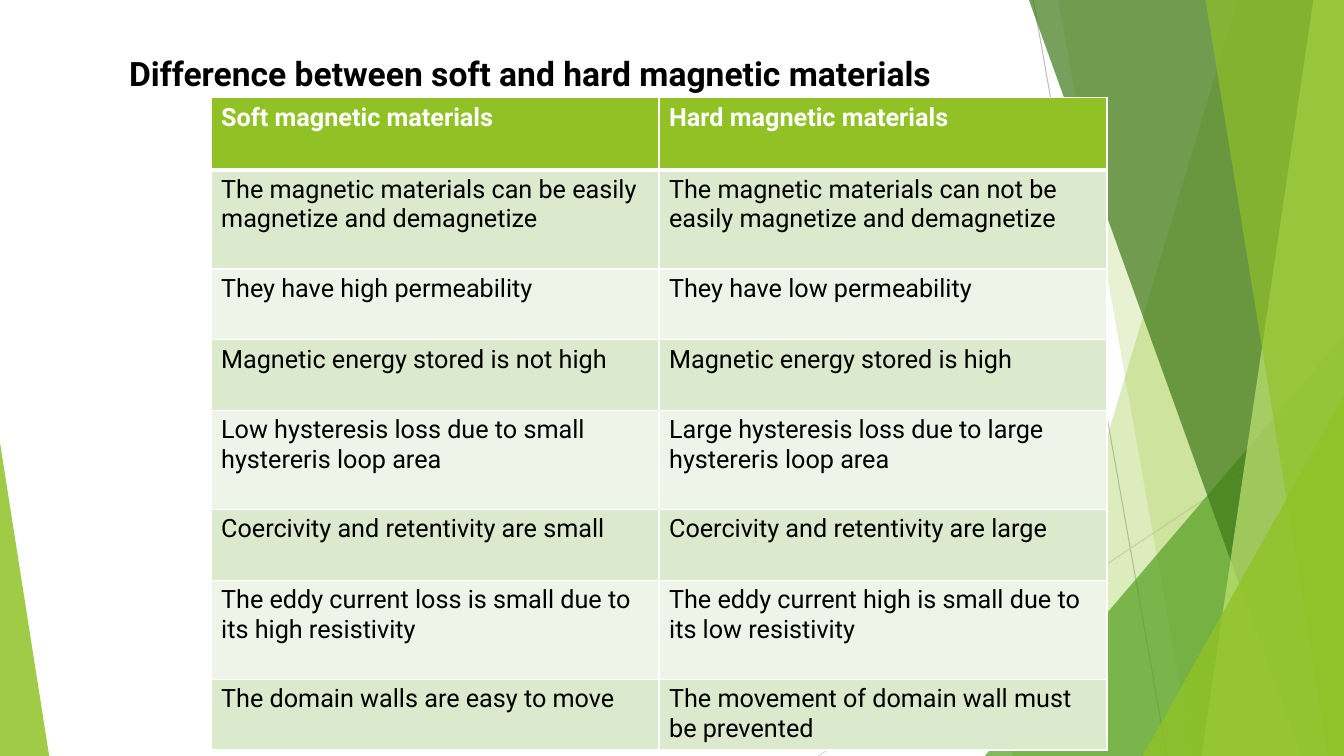
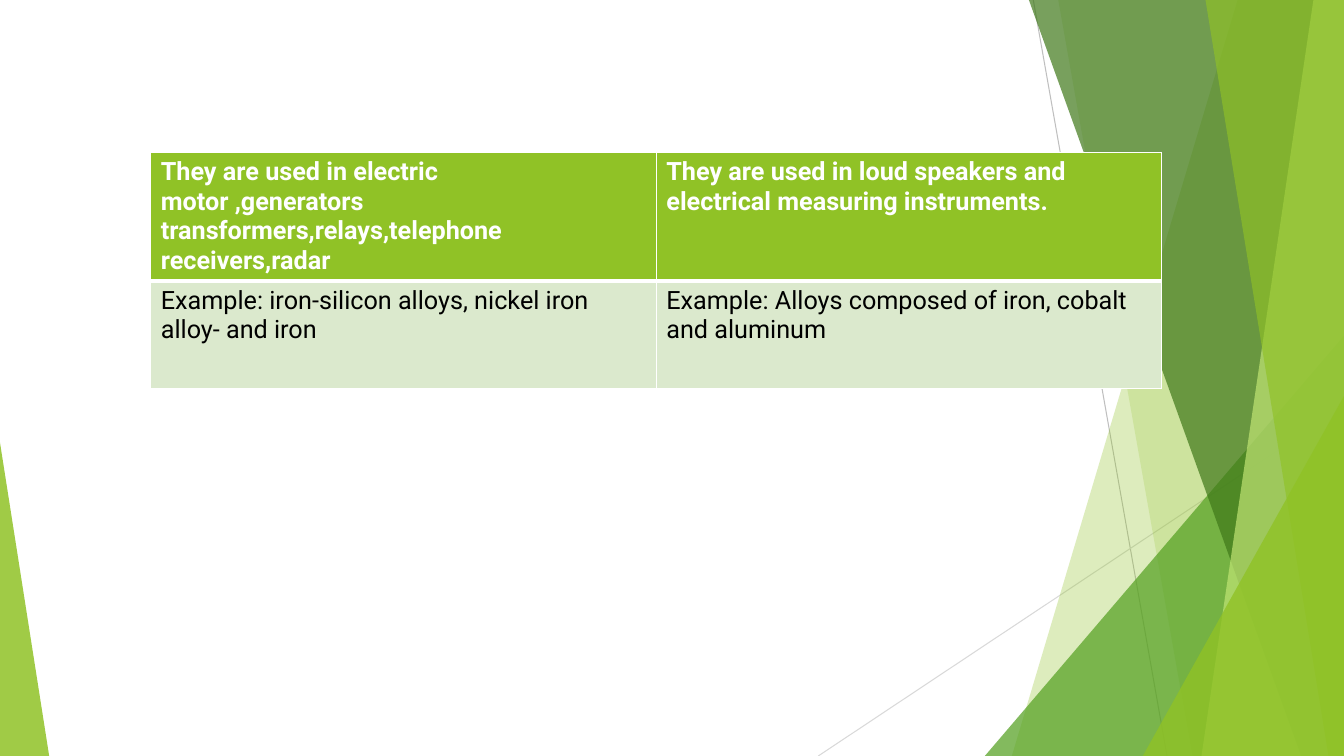
from lxml import etree
from pptx import Presentation
from pptx.dml.color import RGBColor
from pptx.enum.shapes import MSO_CONNECTOR, MSO_SHAPE
from pptx.enum.text import MSO_ANCHOR, MSO_AUTO_SIZE, PP_ALIGN
from pptx.oxml.ns import qn
from pptx.util import Cm, Pt

WHITE = RGBColor(0xFF, 0xFF, 0xFF)
BLACK = RGBColor(0x00, 0x00, 0x00)
LIME = RGBColor(0x90, 0xC2, 0x26)
PALE_LIME = RGBColor(0xC0, 0xE4, 0x74)
GREEN = RGBColor(0x54, 0xA0, 0x21)
DARK_GREEN = RGBColor(0x3F, 0x78, 0x19)
BAND_DARK = RGBColor(0xDB, 0xE9, 0xCD)
BAND_LIGHT = RGBColor(0xEE, 0xF4, 0xE8)
GREY = RGBColor(0xBF, 0xBF, 0xBF)
LIGHT_GREY = RGBColor(0xD9, 0xD9, 0xD9)

WIDTH, HEIGHT = 33.87, 19.05
TITLE_ONLY, BLANK = 5, 6
TITLE_FONT = {"name": "Roboto", "size": Pt(24), "bold": True}
HEADER_FONT = {"name": "Roboto", "size": Pt(18), "bold": True}
BODY_FONT = {**HEADER_FONT, "bold": False}

LINES = [
    (26.04, 0, 29.41, HEIGHT, GREY),
    (WIDTH, 10.24, 20.62, HEIGHT, LIGHT_GREY),
]
FACETS = [
    ("band", 31.19, 25.5, LIME, 30),
    ("band", 26.67, 30.05, LIME, 20),
    ("triangle", (24.82, 8.46, WIDTH), 1, GREEN, 72),
    ("band", 25.93, 32.79, DARK_GREEN, 70),
    ("band", 33.1, 30.28, PALE_LIME, 70),
    ("band", 30.38, 33.48, LIME, 65),
    ("triangle", (28.8, 9.98, WIDTH), 1, LIME, 80),
    ("triangle", (0, 11.15, 1.24), 0, LIME, 85),
]

COMPARISON = [
    (1.82, "Soft magnetic materials", "Hard magnetic materials"),
    (2.5, "The magnetic materials can be easily magnetize and demagnetize",
     "The magnetic materials can not be easily magnetize and demagnetize"),
    (1.78, "They have high permeability", "They have low permeability"),
    (1.78, "Magnetic energy stored is not high", "Magnetic energy stored is high"),
    (2.5, "Low hysteresis loss due to small hystereris loop area",
     "Large hysteresis loss due to large hystereris loop area"),
    (1.78, "Coercivity and retentivity are small", "Coercivity and retentivity are large"),
    (2.5, "The eddy current loss is small due to its high resistivity",
     "The eddy current high is small due to its low resistivity"),
    (1.78, "The domain walls are easy to move",
     "The movement of domain wall must be prevented"),
]
USES = [
    (3.23, "They are used in electric motor ,generators transformers,relays,telephone receivers,radar",
     "They are used in loud speakers and electrical measuring instruments."),
    (2.72, "Example: iron-silicon alloys, nickel iron alloy- and iron",
     "Example: Alloys composed of iron, cobalt and aluminum"),
]


def apply(target, values):
    """Set every attribute in a dict of format values."""
    for name, value in values.items():
        setattr(target, name, value)


def style_font(font, values, colour):
    """Give a font its format values and colour."""
    apply(font, values)
    font.color.rgb = colour


def fill_facet(shape, colour, opacity):
    """Fill a facet with a partly transparent colour and no outline."""
    shape.shadow.inherit = False
    shape.fill.solid()
    shape.fill.fore_color.rgb = colour
    shape.line.fill.background()
    colour_element = shape.element.spPr.find(qn("a:solidFill"))[0]
    etree.SubElement(colour_element, qn("a:alpha"), val=str(opacity * 1000))


def add_line(shapes, left, top, right, bottom, colour):
    """Draw one thin line."""
    line = shapes.add_connector(
        MSO_CONNECTOR.STRAIGHT, Cm(left), Cm(top), Cm(right), Cm(bottom))
    line.line.color.rgb = colour
    line.line.width = Pt(0.75)
    etree.SubElement(line.element.spPr, qn("a:effectLst"))


def add_band(shapes, top_x, bottom_x):
    """Draw a full-height band from a slanted edge to the right border."""
    builder = shapes.build_freeform(Cm(top_x), 0)
    corners = [(WIDTH, 0), (WIDTH, HEIGHT), (bottom_x, HEIGHT)]
    builder.add_line_segments([(Cm(x), Cm(y)) for x, y in corners], close=True)
    return builder.convert_to_shape()


def add_triangle(shapes, box, apex):
    """Draw a triangle that stands on the bottom border."""
    left, top, right = box
    triangle = shapes.add_shape(
        MSO_SHAPE.ISOSCELES_TRIANGLE,
        Cm(left), Cm(top), Cm(right - left), Cm(HEIGHT - top))
    triangle.adjustments[0] = apex
    return triangle


def add_backdrop(slide, master):
    """Build the faceted backdrop and move it to the slide master."""
    group = slide.shapes.add_group_shape()
    for line in LINES:
        add_line(group.shapes, *line)
    draw = {"band": add_band, "triangle": add_triangle}
    for kind, place, end, colour, opacity in FACETS:
        fill_facet(draw[kind](group.shapes, place, end), colour, opacity)
    tree = master.shapes.element
    tree.insert(2, group.element)
    for number, properties in enumerate(tree.iter(qn("p:cNvPr")), 1):
        properties.set("id", str(number))


def set_title(slide, text, left, top, width, height):
    """Place and format the title placeholder."""
    title = slide.shapes.title
    apply(title, {"left": Cm(left), "top": Cm(top),
                  "width": Cm(width), "height": Cm(height)})
    frame = title.text_frame
    frame.text = text
    apply(frame, {"word_wrap": True, "auto_size": MSO_AUTO_SIZE.NONE,
                  "vertical_anchor": MSO_ANCHOR.TOP})
    paragraph = frame.paragraphs[0]
    paragraph.alignment = PP_ALIGN.LEFT
    style_font(paragraph.runs[0].font, TITLE_FONT, BLACK)


def set_borders(cell, widths):
    """Draw white cell borders with the given widths in points."""
    properties = cell._tc.get_or_add_tcPr()
    for side, width in widths.items():
        border = etree.SubElement(properties, qn(f"a:ln{side}"), w=str(Pt(width)))
        fill = etree.SubElement(border, qn("a:solidFill"))
        etree.SubElement(fill, qn("a:srgbClr"), val=str(WHITE))


def add_comparison(slide, rows, left, top, column_width):
    """Add a two-column table with a header row and banded body rows."""
    total = sum(row[0] for row in rows)
    table = slide.shapes.add_table(
        len(rows), 2, Cm(left), Cm(top), Cm(2 * column_width), Cm(total)).table
    for column in table.columns:
        column.width = Cm(column_width)
    for index, (height, *texts) in enumerate(rows):
        table.rows[index].height = Cm(height)
        header = index == 0
        band = LIME if header else BAND_DARK if index % 2 else BAND_LIGHT
        widths = {"L": 1, "R": 1, "T": 3 if index == 1 else 1, "B": 3 if header else 1}
        for cell, text in zip(table.rows[index].cells, texts):
            cell.text = text
            set_borders(cell, widths)
            cell.fill.solid()
            cell.fill.fore_color.rgb = band
            style_font(cell.text_frame.paragraphs[0].runs[0].font,
                       HEADER_FONT if header else BODY_FONT,
                       WHITE if header else BLACK)


def main():
    """Build and save the presentation."""
    presentation = Presentation()
    apply(presentation, {"slide_width": Cm(WIDTH), "slide_height": Cm(HEIGHT)})
    layouts = presentation.slide_layouts

    slide = presentation.slides.add_slide(layouts[TITLE_ONLY])
    add_backdrop(slide, presentation.slide_master)
    set_title(slide, "Difference between soft and hard magnetic materials",
              3, 1.2, 27.23, 1.28)
    add_comparison(slide, COMPARISON, 5.32, 2.46, 11.29)

    slide = presentation.slides.add_slide(layouts[BLANK])
    add_comparison(slide, USES, 3.8, 3.84, 12.74)

    presentation.save("out.pptx")


if __name__ == "__main__":
    main()
